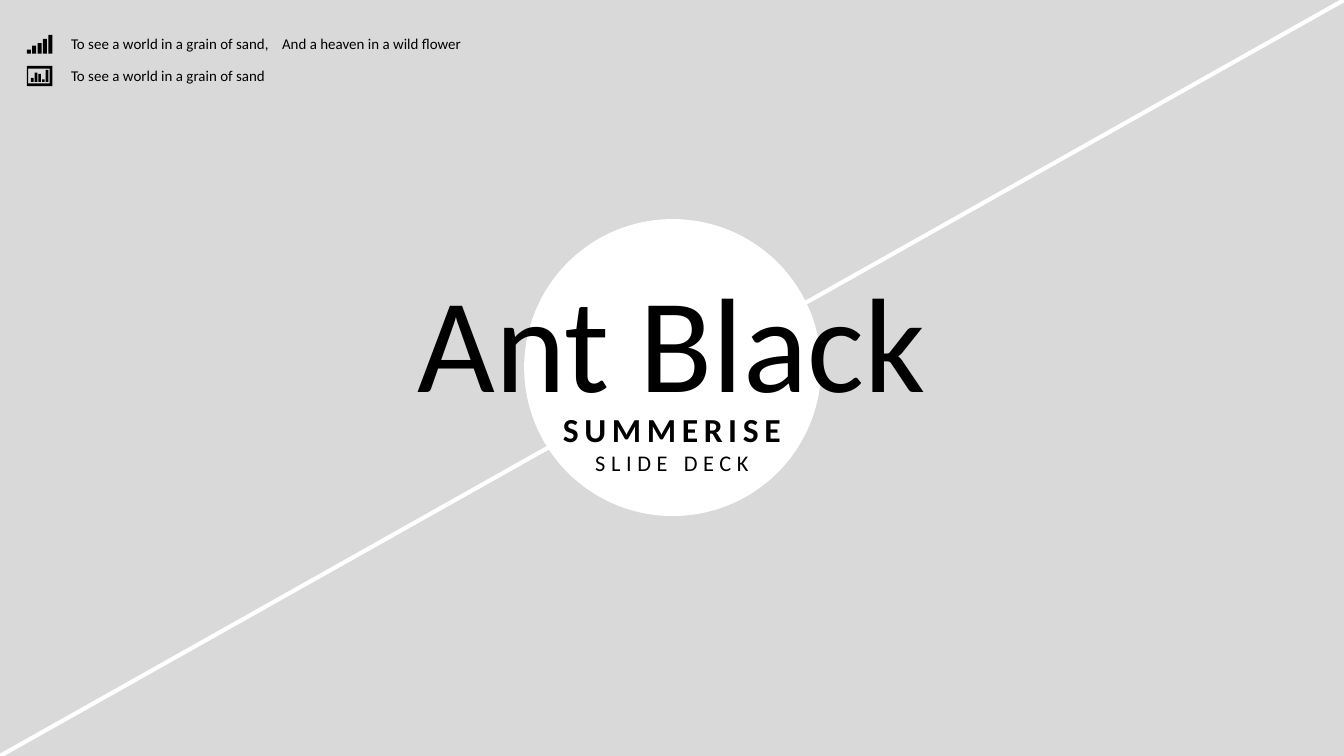
from lxml import etree
from pptx import Presentation
from pptx import util as u
from pptx.dml.color import RGBColor
from pptx.enum import shapes, text
from pptx.oxml.ns import qn

WIDTH = 10
HEIGHT = WIDTH * 9 / 16
COLOURS = {"ground": "D9D9D9", "light": "FFFFFF", "ink": "000000"}
FONT = "Calibri"
TITLE = [("Ant Black", 72, False, 0)]
SUBTITLE = [("SUMMERISE", 18, True, 3), ("SLIDE DECK", 12, False, 3)]
NOTES = [
    "To see a world in a grain of sand,\tAnd a heaven in a wild flower",
    "To see a world in a grain of sand",
]
NOTE_TOP, NOTE_STEP, NOTE_TAB = 0.21, 0.24, 1.57
SIGNAL_HEIGHTS = [0.03, 0.06, 0.08, 0.11, 0.14]
CHART_HEIGHTS = [0.03, 0.07, 0.06, 0.02, 0.09]
CHART_LEFT, CHART_RIGHT, CHART_BASE = 0.23, 0.34, 0.61
FRAME_OUTER = [(0.2, 0.49), (0.2, 0.64), (0.39, 0.64), (0.39, 0.49)]
FRAME_INNER = [(0.37, 0.62), (0.21, 0.62), (0.21, 0.51), (0.37, 0.51)]


def colour(name):
    return RGBColor.from_string(COLOURS[name])


def paint(shape, name):
    shape.shadow.inherit = False
    shape.fill.solid()
    shape.fill.fore_color.rgb = colour(name)
    shape.line.fill.background()


def add_block(parent, kind, left, top, width, height, name):
    shape = parent.add_shape(kind, *map(u.Inches, (left, top, width, height)))
    paint(shape, name)


def add_bars(parent, heights, left, step, base, width):
    for index, height in enumerate(heights):
        add_block(
            parent, shapes.MSO_SHAPE.RECTANGLE,
            left + step * index, base - height, width, height, "ink",
        )


def add_text(page, left, top, width, height, lines, align, tab=None):
    box = page.shapes.add_textbox(*map(u.Inches, (left, top, width, height)))
    frame = box.text_frame
    frame.word_wrap = True
    frame.auto_size = text.MSO_AUTO_SIZE.SHAPE_TO_FIT_TEXT
    for index, (words, size, bold, spacing) in enumerate(lines):
        para = frame.add_paragraph() if index else frame.paragraphs[0]
        para.alignment = align
        if tab:
            stops = etree.SubElement(para._p.get_or_add_pPr(), qn("a:tabLst"))
            etree.SubElement(stops, qn("a:tab"), pos=str(u.Inches(tab)), algn="l")
        span = para.add_run()
        span.text = words
        if spacing:
            span._r.get_or_add_rPr().set("spc", str(spacing * 100))
        para.font.name = FONT
        para.font.size = u.Pt(size)
        para.font.bold = bold
        para.font.color.rgb = colour("ink")


def add_frame(parent):
    outer, inner = (
        [(u.Inches(x), u.Inches(y)) for x, y in ring]
        for ring in (FRAME_OUTER, FRAME_INNER)
    )
    builder = parent.build_freeform(*outer[0])
    builder.add_line_segments(outer[1:], close=True)
    builder.move_to(*inner[0])
    builder.add_line_segments(inner[1:], close=True)
    paint(builder.convert_to_shape(), "ink")


def main():
    deck = Presentation()
    deck.slide_width, deck.slide_height = u.Inches(WIDTH), u.Inches(HEIGHT)
    page = deck.slides.add_slide(deck.slide_layouts[6])
    page.background.fill.solid()
    page.background.fill.fore_color.rgb = colour("ground")

    diagonal = page.shapes.add_connector(
        shapes.MSO_CONNECTOR.STRAIGHT, u.Inches(WIDTH), 0, 0, u.Inches(HEIGHT)
    )
    diagonal.line.color.rgb = colour("light")
    diagonal.line.width = u.Pt(2.25)
    etree.SubElement(diagonal._element.spPr, qn("a:effectLst"))

    add_block(page.shapes, shapes.MSO_SHAPE.OVAL, 3.9, 1.63, 2.21, 2.21, "light")
    add_text(page, 2.48, 1.87, 5.04, 1.31, TITLE, text.PP_ALIGN.CENTER)
    add_text(page, 3.66, 2.99, 2.68, 0.61, SUBTITLE, text.PP_ALIGN.CENTER)

    signal_icon = page.shapes.add_group_shape().shapes
    add_bars(signal_icon, SIGNAL_HEIGHTS, 0.2, 0.04, 0.4, 0.03)
    chart_icon = page.shapes.add_group_shape().shapes
    chart_step = (CHART_RIGHT - CHART_LEFT) / (len(CHART_HEIGHTS) - 1)
    add_bars(chart_icon, CHART_HEIGHTS, CHART_LEFT, chart_step, CHART_BASE, 0.02)
    add_frame(chart_icon)

    for index, words in enumerate(NOTES):
        add_text(
            page, 0.43, NOTE_TOP + NOTE_STEP * index, 3.78, 0.24,
            [(words, 8, False, 0)], text.PP_ALIGN.LEFT, NOTE_TAB if "\t" in words else None,
        )
    deck.save("out.pptx")


if __name__ == "__main__":
    main()
